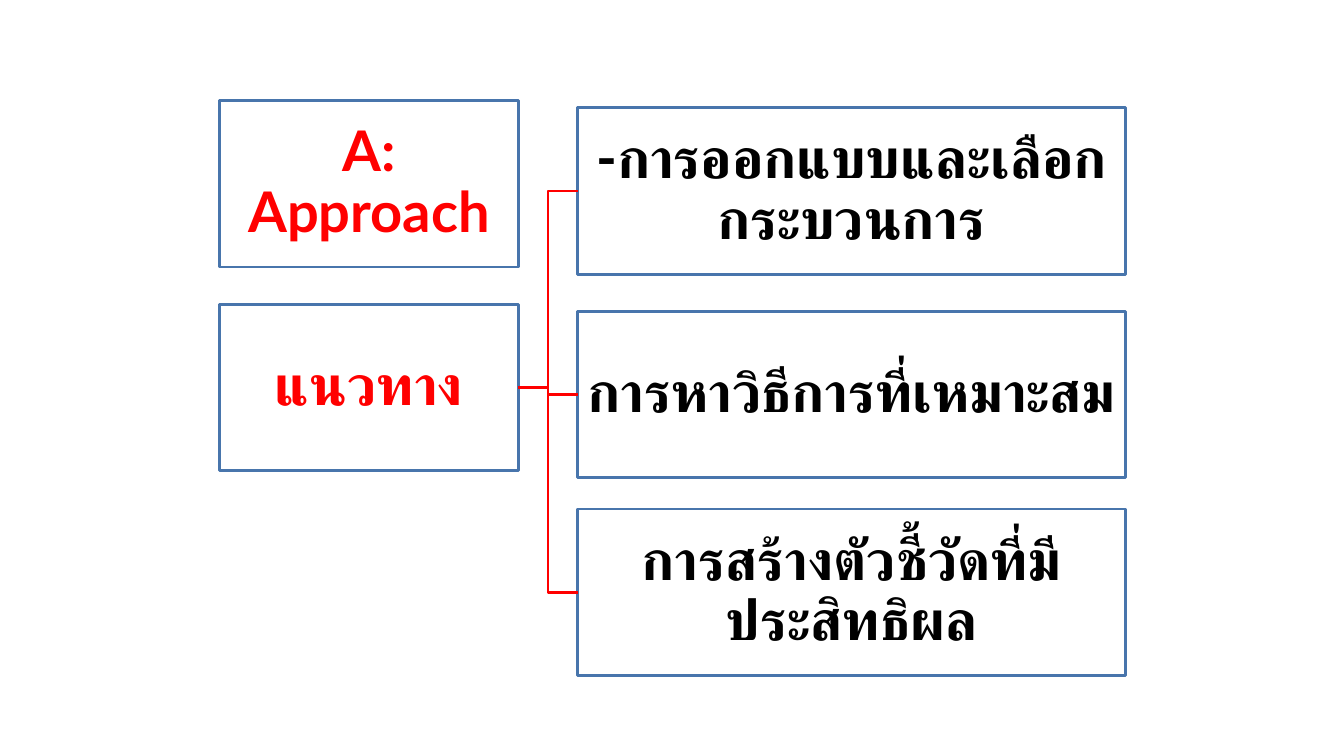
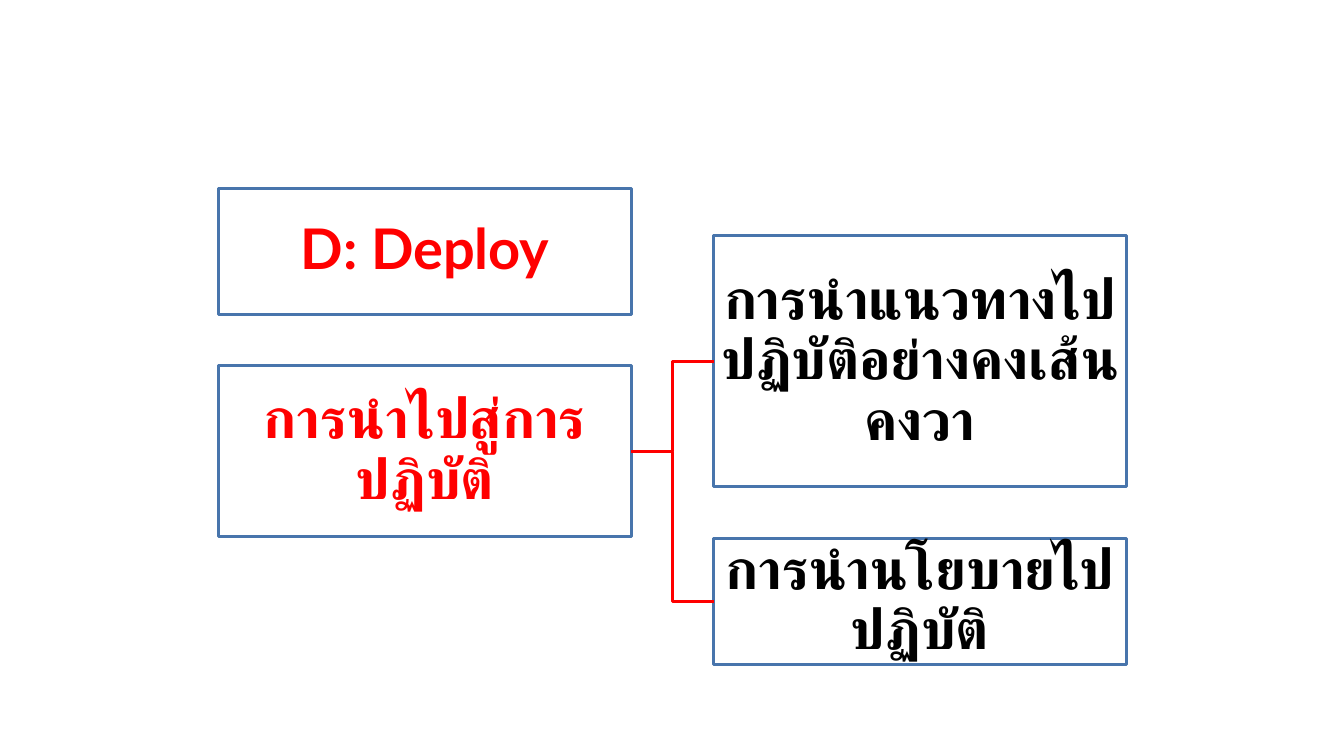
from dataclasses import dataclass

from lxml import etree
from pptx import Presentation
from pptx.dml.color import RGBColor
from pptx.enum.lang import MSO_LANGUAGE_ID
from pptx.enum.shapes import MSO_CONNECTOR, MSO_SHAPE
from pptx.enum.text import MSO_ANCHOR, MSO_AUTO_SIZE, PP_ALIGN
from pptx.oxml.ns import qn
from pptx.util import Inches, Pt

RECTANGLE = MSO_SHAPE.RECTANGLE
ELBOW = MSO_CONNECTOR.ELBOW
MIDDLE = MSO_ANCHOR.MIDDLE
CENTER = PP_ALIGN.CENTER
NO_AUTOFIT = MSO_AUTO_SIZE.NONE
THAI = MSO_LANGUAGE_ID.THAI
LEFT_SIDE, RIGHT_SIDE = 1, 3
TITLE_ONLY = 5


@dataclass(frozen=True)
class Theme:
    background: RGBColor = RGBColor(0xFF, 0xFF, 0xFF)
    border: RGBColor = RGBColor(0x48, 0x75, 0xAC)
    accent: RGBColor = RGBColor(0xFF, 0x00, 0x00)
    body: RGBColor = RGBColor(0x00, 0x00, 0x00)
    font: str = "Lato"
    text_size: Pt = Pt(40)
    line_width: Pt = Pt(2)
    inset: Inches = Inches(0.03)


THEME = Theme()


def format_box(shape, text, *, left, top, width, height, color=THEME.body):
    """Place a shape, outline it and write one centred bold paragraph in it."""
    shape.left, shape.top = Inches(left), Inches(top)
    shape.width, shape.height = Inches(width), Inches(height)
    shape.fill.solid()
    shape.fill.fore_color.rgb = THEME.background
    shape.line.color.rgb = THEME.border
    shape.line.width = THEME.line_width

    frame = shape.text_frame
    frame.word_wrap = True
    frame.auto_size = NO_AUTOFIT
    frame.vertical_anchor = MIDDLE
    frame.margin_left = frame.margin_right = THEME.inset
    frame.margin_top = frame.margin_bottom = THEME.inset

    paragraph = frame.paragraphs[0]
    paragraph.alignment = CENTER
    paragraph.line_spacing = 0.9
    run = paragraph.add_run()
    run.text = text
    run.font.name = THEME.font
    run.font.size = THEME.text_size
    run.font.bold = True
    run.font.color.rgb = color
    run.font.language_id = THAI


def connect_branch(slide, root, branch):
    connector = slide.shapes.add_connector(ELBOW, 0, 0, 0, 0)
    connector.begin_connect(root, RIGHT_SIDE)
    connector.end_connect(branch, LEFT_SIDE)
    connector.line.color.rgb = THEME.accent
    connector.line.width = THEME.line_width
    etree.SubElement(connector._element.spPr, qn("a:effectLst"))


# Each box is (text, top, height); columns are (left, width).
DIAGRAMS = [
    {
        "root_column": (2.18, 2.96),
        "branch_column": (5.73, 5.43),
        "title": ("A: Approach", 1, 1.65),
        "root": ("แนวทาง", 3.02, 1.65),
        "branches": [
            ("-การออกแบบและเลือกกระบวนการ", 1.07, 1.65),
            ("การหาวิธีการที่เหมาะสม", 3.09, 1.65),
            ("การสร้างตัวชี้วัดที่มีประสิทธิผล", 5.05, 1.65),
        ],
    },
    {
        "root_column": (2.17, 4.09),
        "branch_column": (7.08, 4.09),
        "title": ("D: Deploy", 1.87, 1.25),
        "root": ("การนำไปสู่การปฏิบัติ", 3.63, 1.69),
        "branches": [
            ("การนำแนวทางไปปฏิบัติอย่างคงเส้นคงวา", 2.34, 2.49),
            ("การนำนโยบายไปปฏิบัติ", 5.34, 1.25),
        ],
    },
]

presentation = Presentation()
presentation.slide_width = Inches(13.33)
presentation.slide_height = Inches(7.5)
background = presentation.slide_master.background.fill
background.solid()
background.fore_color.rgb = THEME.background

for diagram in DIAGRAMS:
    slide = presentation.slides.add_slide(presentation.slide_layouts[TITLE_ONLY])
    boxes = [("title", diagram["title"]), ("root", diagram["root"])]
    boxes += [("branch", branch) for branch in diagram["branches"]]

    for role, (text, top, height) in boxes:
        if role == "title":
            shape = slide.shapes.title
        else:
            shape = slide.shapes.add_shape(RECTANGLE, 0, 0, 0, 0)
            shape.shadow.inherit = False
        is_branch = role == "branch"
        left, width = diagram["branch_column" if is_branch else "root_column"]
        format_box(shape, text, left=left, top=top, width=width, height=height,
                   color=THEME.body if is_branch else THEME.accent)
        if role == "root":
            root = shape
        elif is_branch:
            connect_branch(slide, root, shape)

presentation.save("out.pptx")
